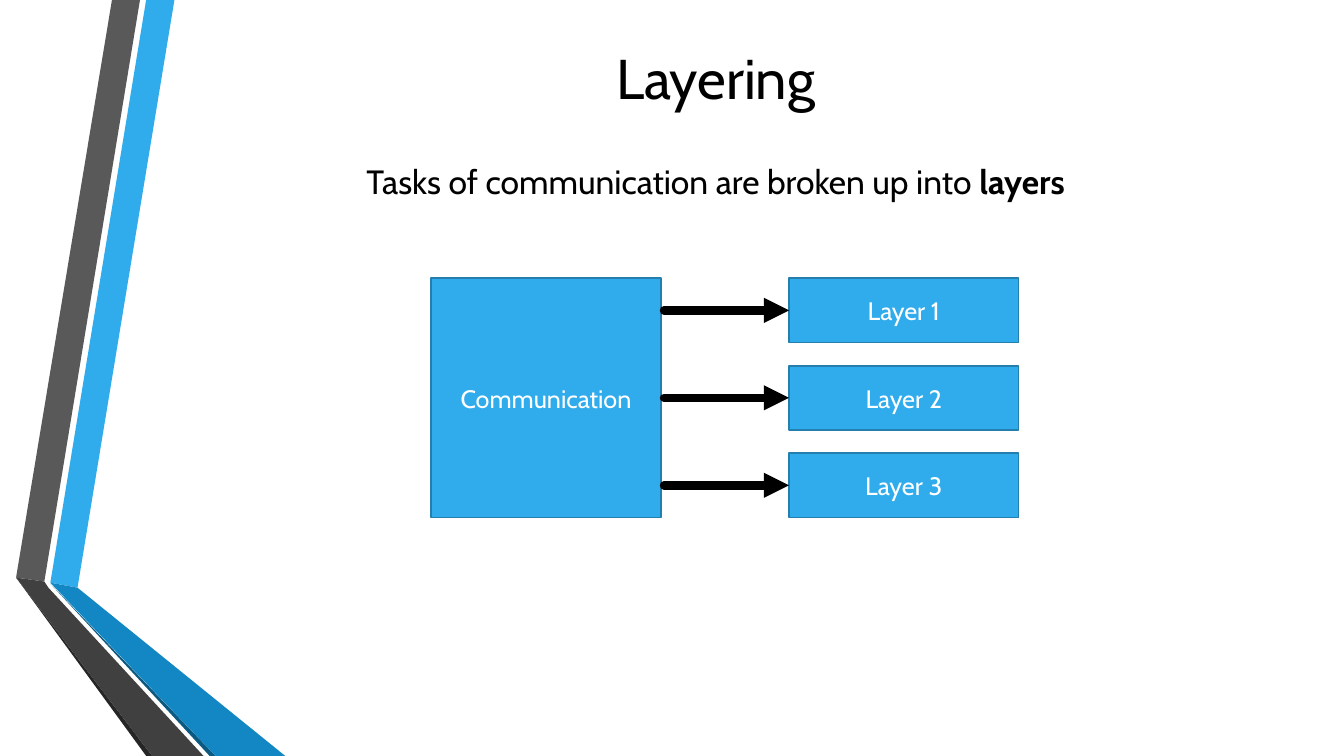
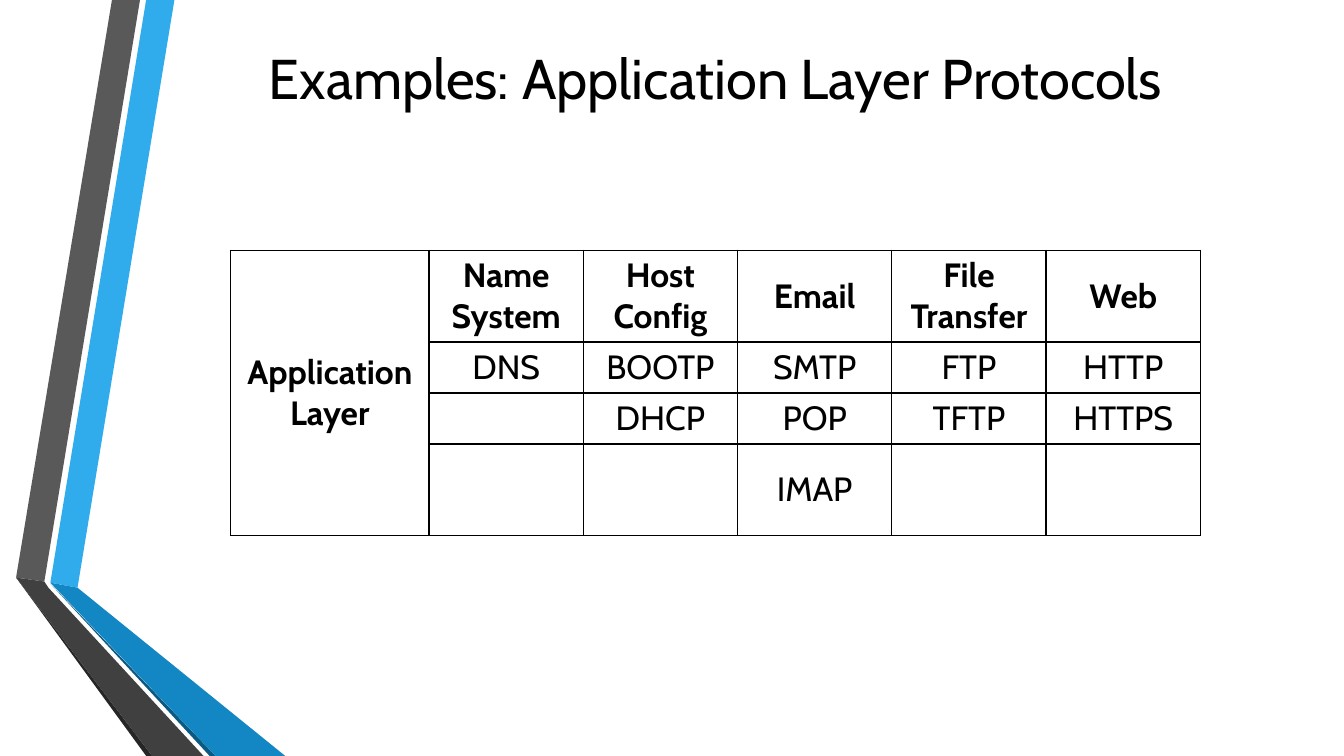
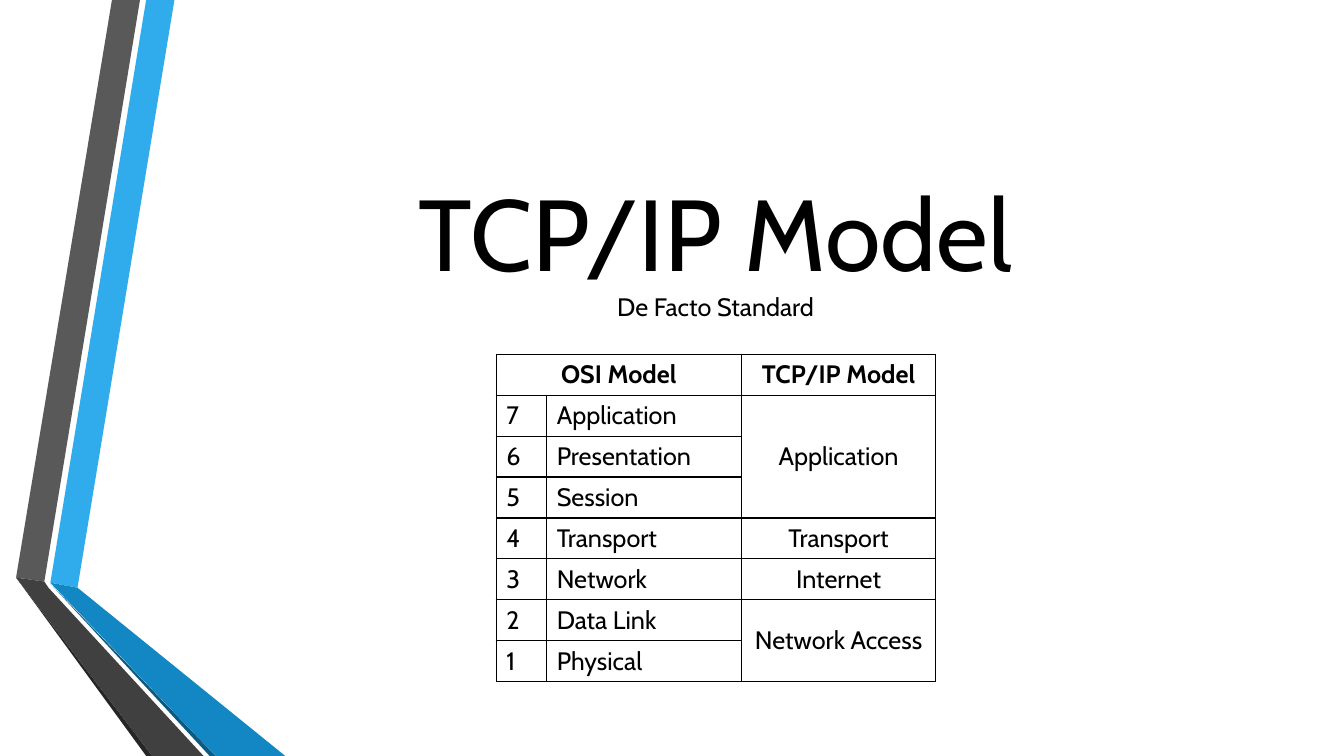
from lxml import etree
from pptx import Presentation
from pptx.dml.color import RGBColor
from pptx.enum import shapes, text
from pptx.oxml import ns
from pptx.util import Pt

FONT = "Cabin"
BLACK, WHITE, BLUE, EDGE = "000000", "FFFFFF", "30ACEC", "247FAF"
LEFT, MID = text.PP_ALIGN.LEFT, text.PP_ALIGN.CENTER
BANDS = [
    (BLUE, [(36, 416.2), (55.4, 419.8), (124.6, 0), (104.4, 0)]),
    ("595959", [(100, 0), (80, 0), (11.5, 412.6), (31.7, 415.4)]),
    ("262626", [(11.5, 412.6), (104.4, 540), (108.7, 540)]),
    ("0C5A82", [(36, 416.9), (149.8, 540), (154.1, 540)]),
    ("1287C3", [(36, 416.2), (154.1, 540), (203.8, 540), (55.4, 419.8)]),
    ("404040", [(145.4, 540), (34.6, 419.8), (31.7, 415.4),
                (11.5, 412.6), (108.7, 540)]),
]


def paint(part, color):
    """Give a fill, line or font its solid colour."""
    if hasattr(part, "solid"):
        part.solid()
        part.fore_color.rgb = RGBColor.from_string(color)
    elif hasattr(part, "fill") and hasattr(part, "width"):
        paint(part.fill, color)
    else:
        part.color.rgb = RGBColor.from_string(color)


def add_run(para, words, size, color=BLACK, bold=False):
    run = para.add_run()
    run.text = words
    run.font.name, run.font.size, run.font.bold = FONT, Pt(size), bold
    paint(run.font, color)


def add_text(slide, box, anchor):
    """Add an empty text box and return its centred first paragraph."""
    frame = slide.shapes.add_textbox(*map(Pt, box)).text_frame
    frame.word_wrap = True
    frame.vertical_anchor = anchor
    para = frame.paragraphs[0]
    para.alignment = MID
    return para


def add_title(slide, words, size=40, height=58.3):
    box = (116.6, 25.9, 789.1, height)
    para = add_text(slide, box, text.MSO_ANCHOR.MIDDLE)
    add_run(para, words, size)
    return para


def add_slide(deck):
    """Add a blank slide with the folded bands at its left."""
    slide = deck.slides.add_slide(deck.slide_layouts[6])
    for color, points in BANDS:
        first, *rest = [(Pt(x), Pt(y)) for x, y in points]
        path = slide.shapes.build_freeform(*first)
        path.add_line_segments(rest)
        band = path.convert_to_shape()
        band.shadow.inherit = False
        paint(band.fill, color)
        band.line.fill.background()
    return slide


def add_block(slide, words, box):
    block = slide.shapes.add_shape(shapes.MSO_SHAPE.RECTANGLE, *map(Pt, box))
    block.shadow.inherit = False
    paint(block.fill, BLUE)
    paint(block.line, EDGE)
    block.line.width = Pt(1.25)
    frame = block.text_frame
    frame.vertical_anchor = text.MSO_ANCHOR.MIDDLE
    frame.paragraphs[0].alignment = MID
    add_run(frame.paragraphs[0], words, 18, WHITE)


def add_arrow(slide, left, right, y):
    line = slide.shapes.add_connector(
        shapes.MSO_CONNECTOR.STRAIGHT, Pt(left), Pt(y), Pt(right), Pt(y))
    paint(line.line, BLACK)
    line.line.width = Pt(6)
    props = line.line._get_or_add_ln()
    props.set("cap", "rnd")
    etree.SubElement(props, ns.qn("a:tailEnd"), type="triangle")
    etree.SubElement(line._element.spPr, ns.qn("a:effectLst"))


def add_split(slide, whole, parts, box):
    """Draw one tall block with an arrow to each of its stacked parts."""
    left, top, width, height = box
    wide, tall = 164, 46
    right = left + width - wide
    pitch = (height - tall) / (len(parts) - 1)
    add_block(slide, whole, (left, top, wide, height))
    for i, part in enumerate(parts):
        y = top + i * pitch
        add_block(slide, part, (right, y, wide, tall))
        add_arrow(slide, left + wide + 2.3, right, y + tall / 2)


def add_borders(cell):
    props = cell._tc.get_or_add_tcPr()
    for i, side in enumerate(("lnL", "lnR", "lnT", "lnB")):
        line = etree.Element(ns.qn("a:" + side), w=str(Pt(1)))
        fill = etree.SubElement(line, ns.qn("a:solidFill"))
        etree.SubElement(fill, ns.qn("a:srgbClr"), val=BLACK)
        props.insert(i, line)


def add_grid(slide, spot, cols, rows, data, spans, size, aligns):
    """Add a ruled table with a bold, centred first row."""
    box = (*spot, sum(cols), sum(rows))
    table = slide.shapes.add_table(
        len(rows), len(cols), *map(Pt, box)).table
    table.first_row = table.horz_banding = False
    for col, width in zip(table.columns, cols):
        col.width = Pt(width)
    for row, height in zip(table.rows, rows):
        row.height = Pt(height)
    for start, end in spans:
        table.cell(*start).merge(table.cell(*end))
    for r, line in enumerate(data):
        for c, words in enumerate(line):
            cell = table.cell(r, c)
            cell.fill.background()
            add_borders(cell)
            cell.vertical_anchor = text.MSO_ANCHOR.MIDDLE
            if words:
                para = cell.text_frame.paragraphs[0]
                para.alignment = aligns[c] if r else MID
                add_run(para, words, size, bold=r == 0)


def layering(deck):
    slide = add_slide(deck)
    add_title(slide, "Layering")
    para = add_text(slide, (116.6, 111.6, 789.1, 344.2), text.MSO_ANCHOR.TOP)
    para.space_after = Pt(6)
    add_run(para, "Tasks of communication are broken up into ", 24)
    add_run(para, "layers", 24, bold=True)
    add_split(slide, "Communication", ["Layer 1", "Layer 2", "Layer 3"],
              (308, 198.7, 419.6, 171))


def protocols(deck):
    slide = add_slide(deck)
    add_title(slide, "Examples: Application Layer Protocols")
    data = [
        ["Application Layer", "Name System", "Host Config", "Email",
         "File Transfer", "Web"],
        ["", "DNS", "BOOTP", "SMTP", "FTP", "HTTP"],
        ["", "", "DHCP", "POP", "TFTP", "HTTPS"],
        ["", "", "", "IMAP", "", ""],
    ]
    add_grid(slide, (164.7, 178.7), [141.8] + [110.2] * 5,
             [65.6, 36.4, 36.4, 65.6], data, [((0, 0), (3, 0))], 24, [MID] * 6)


def model(deck):
    slide = add_slide(deck)
    para = add_title(slide, "TCP/IP Model", 72, 299.5)
    para.add_line_break()
    add_run(para, "De Facto Standard", 18)
    data = [
        ["OSI Model", "", "TCP/IP Model"],
        ["7", "Application", "Application"],
        ["6", "Presentation", ""],
        ["5", "Session", ""],
        ["4", "Transport", "Transport"],
        ["3", "Network", "Internet"],
        ["2", "Data Link", "Network Access"],
        ["1", "Physical", ""],
    ]
    spans = [((0, 0), (0, 1)), ((1, 2), (3, 2)), ((6, 2), (7, 2))]
    add_grid(slide, (354.5, 253.2), [36, 139, 139], [29.2] * 8,
             data, spans, 18, [LEFT, LEFT, MID])


def main():
    deck = Presentation()
    deck.slide_width, deck.slide_height = Pt(960), Pt(540)
    for build in (layering, protocols, model):
        build(deck)
    deck.save("out.pptx")


if __name__ == "__main__":
    main()
